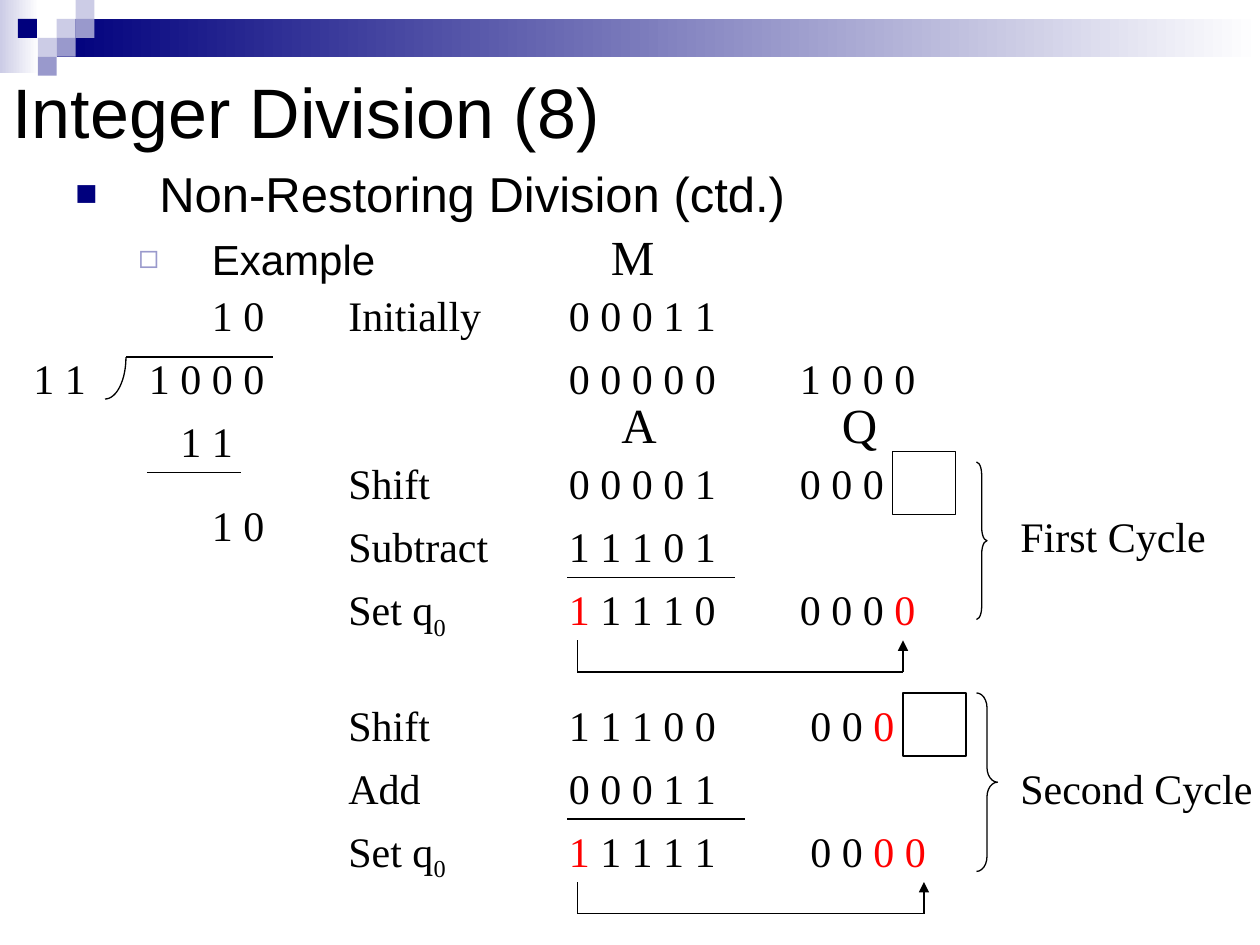
import math
from dataclasses import dataclass

from lxml import etree
from pptx import Presentation
from pptx.dml.color import RGBColor
from pptx.enum.shapes import MSO_CONNECTOR, MSO_SHAPE
from pptx.enum.text import MSO_ANCHOR, MSO_AUTO_SIZE, PP_ALIGN
from pptx.oxml.ns import qn
from pptx.util import Pt

RECTANGLE = MSO_SHAPE.RECTANGLE
RIGHT_BRACE = MSO_SHAPE.RIGHT_BRACE
STRAIGHT = MSO_CONNECTOR.STRAIGHT
MIDDLE = MSO_ANCHOR.MIDDLE
GROW = MSO_AUTO_SIZE.SHAPE_TO_FIT_TEXT
LEFT = PP_ALIGN.LEFT

BLACK, WHITE, RED = "000000", "FFFFFF", "FF0000"
NAVY, LAVENDER, PALE = "00007D", "9999CC", "CCCCE6"
SANS, SERIF = "Arial", "Times New Roman"
ROW = 36
LABEL_X, A_X, Q_X = 192, 318, 450


def color(value):
    return RGBColor.from_string(value)


@dataclass
class Run:
    text: str
    color: str = BLACK
    size: float = 24
    font: str = SERIF
    baseline: int = 0


@dataclass
class Builder:
    slide: object
    line_color: str = BLACK
    line_width: float = 0.75

    def add_runs(self, paragraph, runs):
        for item in runs:
            run = paragraph.add_run()
            run.text = item.text
            run.font.name = item.font
            run.font.size = Pt(item.size)
            run.font.color.rgb = color(item.color)
            if item.baseline:
                run._r.get_or_add_rPr().set("baseline", str(item.baseline))

    def title(self, left, top, width, height, run):
        shape = self.slide.shapes.title
        shape.left, shape.top = Pt(left), Pt(top)
        shape.width, shape.height = Pt(width), Pt(height)
        shape.text_frame.vertical_anchor = MIDDLE
        paragraph = shape.text_frame.paragraphs[0]
        paragraph.alignment = LEFT
        self.add_runs(paragraph, [run])

    def text(self, left, top, width, *runs, height=ROW):
        shape = self.slide.shapes.add_textbox(Pt(left), Pt(top), Pt(width), Pt(height))
        frame = shape.text_frame
        frame.word_wrap = True
        frame.auto_size = GROW
        self.add_runs(frame.paragraphs[0], runs)

    def outline(self, left, top, width, height, items):
        """Bulleted text; an item is run, bullet, bullet colour, bullet percent, margin, hanging."""
        shape = self.slide.shapes.add_textbox(Pt(left), Pt(top), Pt(width), Pt(height))
        frame = shape.text_frame
        frame.word_wrap = True
        for index, (run, bullet, bullet_color, percent, margin, hanging) in enumerate(items):
            paragraph = frame.add_paragraph() if index else frame.paragraphs[0]
            paragraph.level = index
            if index:
                paragraph.space_before = Pt(6)
            properties = paragraph._p.get_or_add_pPr()
            properties.set("marL", str(Pt(margin)))
            properties.set("indent", str(-Pt(hanging)))
            bullet_fill = etree.SubElement(properties, qn("a:buClr"))
            etree.SubElement(bullet_fill, qn("a:srgbClr"), val=bullet_color)
            etree.SubElement(properties, qn("a:buSzPct"), val=str(percent * 1000))
            etree.SubElement(properties, qn("a:buFont"), typeface=SANS)
            etree.SubElement(properties, qn("a:buChar"), char=bullet)
            self.add_runs(paragraph, [run])

    def block(self, left, top, width, height, *colors):
        """Borderless rectangle, solid for one colour and a gradient for two."""
        shape = self.slide.shapes.add_shape(RECTANGLE, Pt(left), Pt(top), Pt(width), Pt(height))
        shape.shadow.inherit = False
        shape.line.fill.background()
        if len(colors) == 1:
            shape.fill.solid()
            shape.fill.fore_color.rgb = color(colors[0])
            return
        shape.fill.gradient()
        shape.fill.gradient_angle = 0
        for stop, value in zip(shape.fill.gradient_stops, colors):
            stop.color.rgb = color(value)

    def style_outline(self, shape):
        shape.shadow.inherit = False
        shape.fill.background()
        shape.line.color.rgb = color(self.line_color)
        shape.line.width = Pt(self.line_width)

    def square(self, left, top, side):
        self.style_outline(self.slide.shapes.add_shape(
            RECTANGLE, Pt(left), Pt(top), Pt(side), Pt(side)))

    def brace(self, left, top, width, height):
        shape = self.slide.shapes.add_shape(
            RIGHT_BRACE, Pt(left), Pt(top), Pt(width), Pt(height))
        shape.adjustments[0] = height / 12 / width
        self.style_outline(shape)

    def quarter_curve(self, left, top, width, height, steps=16):
        """Quarter ellipse from the top right corner to the bottom left one."""
        angles = [math.pi / 2 * step / steps for step in range(steps + 1)]
        points = [(Pt(left + width * math.cos(angle)), Pt(top + height * math.sin(angle)))
                  for angle in angles]
        builder = self.slide.shapes.build_freeform(*points[0])
        builder.add_line_segments(points[1:], close=False)
        self.style_outline(builder.convert_to_shape())

    def line(self, x1, y1, x2, y2, arrow_at_start=False):
        connector = self.slide.shapes.add_connector(STRAIGHT, Pt(x1), Pt(y1), Pt(x2), Pt(y2))
        connector.line.color.rgb = color(self.line_color)
        connector.line.width = Pt(self.line_width)
        if arrow_at_start:
            etree.SubElement(connector.line._get_or_add_ln(), qn("a:headEnd"), type="triangle")
        etree.SubElement(connector._element.spPr, qn("a:effectLst"))

    def cycle(self, top, name, name_box, operation, a_rows, q_x, q_rows,
              square_x, rule_end, arrow_x, brace):
        """One division cycle: three rows, the result rule, the feedback arrow and the brace."""
        labels = ([Run("Shift")], [Run(operation)],
                  [Run("Set q"), Run("0", baseline=-25000)])
        for index in range(3):
            row_top = top + index * ROW
            self.text(LABEL_X, row_top, 102, *labels[index])
            self.text(A_X, row_top, 102, *a_rows[index])
            if q_rows[index]:
                self.text(q_x, row_top, 96 if index else square_x - q_x + 12, *q_rows[index])
        self.text(576, name_box[0], name_box[1], Run(name))
        self.square(square_x, top, ROW)
        self.line(324, top + 2 * ROW, rule_end, top + 2 * ROW)
        start, end = top + 3 * ROW, top + 3.5 * ROW
        self.line(330, start, 330, end)
        self.line(330, end, arrow_x, end)
        self.line(arrow_x, start, arrow_x, end, arrow_at_start=True)
        self.brace(558, *brace)


def main():
    presentation = Presentation()
    presentation.slide_width, presentation.slide_height = Pt(720), Pt(540)
    slide = presentation.slides.add_slide(presentation.slide_layouts[5])
    builder = Builder(slide)

    # Header band and its mosaic of small squares
    unit = 10.8
    builder.block(0, 0, 22.3, 41.8, PALE, WHITE)
    builder.block(3 * unit, unit, 720 - 3 * unit, 2 * unit, NAVY, WHITE)
    for column, row, fill in ((3, 1, PALE), (4, 0, PALE), (4, 1, LAVENDER), (2, 2, PALE),
                              (0.95, 1, NAVY), (3, 2, LAVENDER), (2, 3, LAVENDER)):
        builder.block(column * unit, row * unit, unit, unit, fill)

    builder.title(0, 24, 720, 78, Run("Integer Division (8)", size=40, font=SANS))
    builder.outline(36, 90, 636, 432, [
        (Run("Non-Restoring Division (ctd.)", size=28, font=SANS), "■", NAVY, 75, 48, 48),
        (Run("Example", font=SANS), "◻", LAVENDER, 80, 78, 42),
    ])

    # Long division by hand
    for left, top, width, digits in ((12, 198, 54, "1 1"), (78, 198, 90, "1 0 0 0"),
                                     (114, 162, 54, "1 0"), (96, 234, 54, "1 1"),
                                     (114, 282, 54, "1 0")):
        builder.text(left, top, width, Run(digits))
    builder.quarter_curve(60, 204, 12, 24)
    builder.line(72, 204, 156, 204)
    builder.line(84, 270, 138, 270)

    # Registers and their initial values
    for left, top, width, name in ((342, 126, 72, "M"), (348, 222, 78, "A"),
                                   (474, 222, 48, "Q")):
        builder.text(left, top, width, Run(name, size=28), height=41)
    for left, top, width, value in ((LABEL_X, 162, 96, "Initially"), (A_X, 162, 102, "0 0 0 1 1"),
                                    (A_X, 198, 102, "0 0 0 0 0"), (Q_X, 198, 96, "1 0 0 0")):
        builder.text(left, top, width, Run(value))

    builder.cycle(
        258, "First Cycle", (288, 126), "Subtract",
        ([Run("0 0 0 0 1")], [Run("1 1 1 0 1")], [Run("1", RED), Run(" 1 1 1 0")]),
        Q_X, ([Run("0 0 0")], None, [Run("0 0 0 "), Run("0", RED)]),
        square_x=510, rule_end=420, arrow_x=516, brace=(264, 6, 90))
    builder.cycle(
        396, "Second Cycle", (432, 156), "Add",
        ([Run("1 1 1 0 0")], [Run("0 0 0 1 1")], [Run("1", RED), Run(" 1 1 1 1")]),
        Q_X + 6, ([Run("0 0 "), Run("0", RED)], None, [Run("0 0 "), Run("0 0", RED)]),
        square_x=516, rule_end=426, arrow_x=528, brace=(396, 12, 102))

    presentation.save("out.pptx")


if __name__ == "__main__":
    main()
